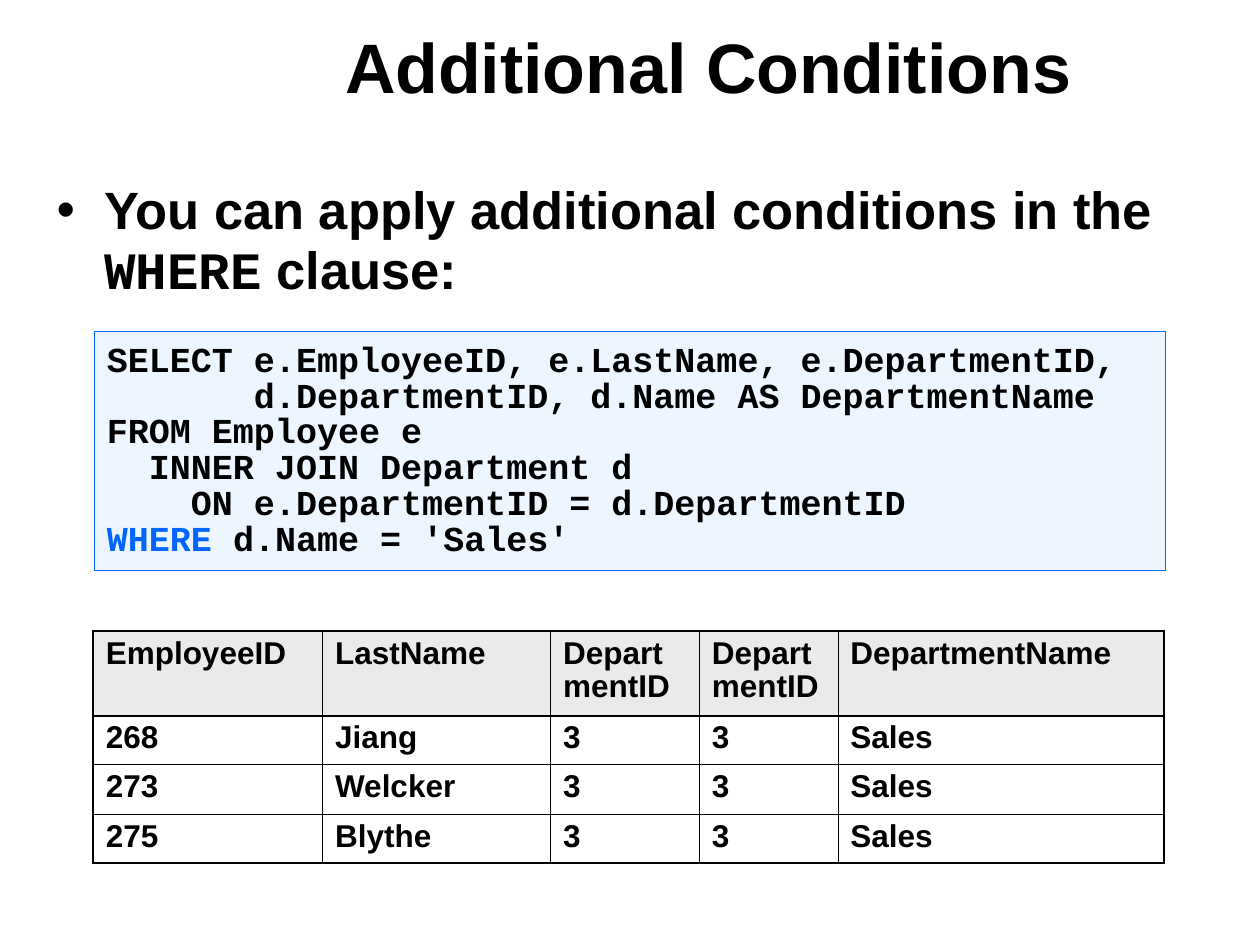
"""Builds the slide on additional join conditions in the WHERE clause."""
from dataclasses import dataclass

from lxml.etree import SubElement
from pptx import Presentation
from pptx.dml.color import RGBColor
from pptx.enum.shapes import MSO_SHAPE
from pptx.enum.text import MSO_ANCHOR, PP_ALIGN
from pptx.oxml.ns import qn
from pptx.util import Inches, Pt

COLORS = {"text": "000000", "keyword": "0066FF", "code": "DDECFF", "header": "EAEAEA"}
SANS, MONO = "Arial", "Courier New"
OUTER, INNER = 1.08, 0.45

CODE = """SELECT e.EmployeeID, e.LastName, e.DepartmentID,
       d.DepartmentID, d.Name AS DepartmentName
FROM Employee e
  INNER JOIN Department d
    ON e.DepartmentID = d.DepartmentID
WHERE d.Name = 'Sales'""".splitlines()


@dataclass
class Column:
    """A result column with its heading, width and values."""
    heading: str
    width: float
    values: tuple


COLUMNS = (
    Column("EmployeeID", 1.82, ("268", "273", "275")),
    Column("LastName", 1.81, ("Jiang", "Welcker", "Blythe")),
    Column("DepartmentID", 1.18, ("3",) * 3),
    Column("DepartmentID", 1.1, ("3",) * 3),
    Column("DepartmentName", 2.59, ("Sales",) * 3),
)
ROW_HEIGHTS = (0.67, 0.39, 0.39, 0.39)


def rgb(name: str) -> RGBColor:
    """Return a named colour."""
    return RGBColor.from_string(COLORS[name])


def style(paragraph, size: float, spacing: float, face: str | None = SANS,
          color: str | None = "text") -> None:
    """Set the bold font, alignment and line spacing of a paragraph."""
    paragraph.alignment = PP_ALIGN.LEFT
    paragraph.line_spacing = spacing
    font = paragraph.font
    font.size, font.bold = Pt(size), True
    if face:
        font.name = face
    if color:
        font.color.rgb = rgb(color)


def add_box(slide, left: float, top: float, width: float, height: float):
    """Add a wrapping text box and return its text frame."""
    box = slide.shapes.add_textbox(Inches(left), Inches(top), Inches(width), Inches(height))
    box.text_frame.word_wrap = True
    return box.text_frame


def add_title(slide) -> None:
    """Add the slide title."""
    frame = add_box(slide, 2.64, 0.08, 7.17, 0.99)
    frame.vertical_anchor = MSO_ANCHOR.MIDDLE
    frame.text = "Additional Conditions"
    style(frame.paragraphs[0], 40, 0.85)


def add_statement(slide) -> None:
    """Add the bulleted statement about the WHERE clause."""
    statement = add_box(slide, 0.35, 1.39, 9.29, 5.83).paragraphs[0]
    properties = statement._p.get_or_add_pPr()
    properties.set("marL", str(Inches(0.38)))
    properties.set("indent", str(Inches(-0.38)))
    SubElement(properties, qn("a:buFont"), typeface=SANS)
    SubElement(properties, qn("a:buChar"), char="•")
    style(statement, 30, 0.95, face=None)
    for text, face in (("You can apply additional conditions in the ", SANS),
                       ("WHERE", MONO), (" clause:", SANS)):
        run = statement.add_run()
        run.text, run.font.name = text, face


def add_code(slide) -> None:
    """Add the query panel with its highlighted WHERE keyword."""
    panel = slide.shapes.add_shape(MSO_SHAPE.RECTANGLE, Inches(0.75), Inches(2.63),
                                   Inches(8.5), Inches(1.9))
    panel.shadow.inherit = False
    panel.fill.solid()
    panel.fill.fore_color.rgb = rgb("code")
    tint = panel._element.spPr.find(qn("a:solidFill")).find(qn("a:srgbClr"))
    SubElement(tint, qn("a:alpha"), val="50000")
    panel.line.color.rgb = rgb("keyword")
    panel.line.width = Pt(0.75)
    frame = panel.text_frame
    frame.word_wrap = True
    frame.vertical_anchor = MSO_ANCHOR.TOP
    frame.margin_left = frame.margin_right = Inches(0.1)
    frame.margin_top = frame.margin_bottom = Inches(0.1)
    for index, code_line in enumerate(CODE):
        paragraph = frame.add_paragraph() if index else frame.paragraphs[0]
        has_keyword = code_line.startswith("WHERE")
        style(paragraph, 20, 0.85, MONO, None if has_keyword else "text")
        if has_keyword:
            parts = (("WHERE", "keyword"), (code_line.removeprefix("WHERE"), "text"))
            for text, color in parts:
                run = paragraph.add_run()
                run.text = text
                run.font.color.rgb = rgb(color)
        else:
            paragraph.add_run().text = code_line


def set_border(cell, side: str, width: float) -> None:
    """Draw one side of a cell as a solid line."""
    border = SubElement(cell._tc.get_or_add_tcPr(), qn(f"a:ln{side}"), w=str(Pt(width)))
    SubElement(SubElement(border, qn("a:solidFill")), qn("a:srgbClr"), val=COLORS["text"])


def add_results(slide) -> None:
    """Add the query result table."""
    last_row, last_column = len(ROW_HEIGHTS) - 1, len(COLUMNS) - 1
    table = slide.shapes.add_table(len(ROW_HEIGHTS), len(COLUMNS), Inches(0.74), Inches(5.01),
                                   Inches(sum(column.width for column in COLUMNS)),
                                   Inches(sum(ROW_HEIGHTS))).table
    table.first_row = table.horz_banding = False
    for row, height in zip(table.rows, ROW_HEIGHTS):
        row.height = Inches(height)
    for c, column in enumerate(COLUMNS):
        table.columns[c].width = Inches(column.width)
        for r, text in enumerate((column.heading, *column.values)):
            cell = table.cell(r, c)
            cell.text = text
            style(cell.text_frame.paragraphs[0], 18, 0.95)
            heavy_sides = {"L": c == 0, "R": c == last_column,
                           "T": r <= 1, "B": r in (0, last_row)}
            for side, heavy in heavy_sides.items():
                set_border(cell, side, OUTER if heavy else INNER)
            if r == 0:
                cell.fill.solid()
                cell.fill.fore_color.rgb = rgb("header")
            else:
                cell.fill.background()


def main() -> None:
    """Build and save the slide."""
    presentation = Presentation()
    presentation.slide_width, presentation.slide_height = Inches(10), Inches(7.5)
    slide = presentation.slides.add_slide(presentation.slide_layouts[6])
    add_title(slide)
    add_statement(slide)
    add_code(slide)
    add_results(slide)
    presentation.save("out.pptx")


if __name__ == "__main__":
    main()
